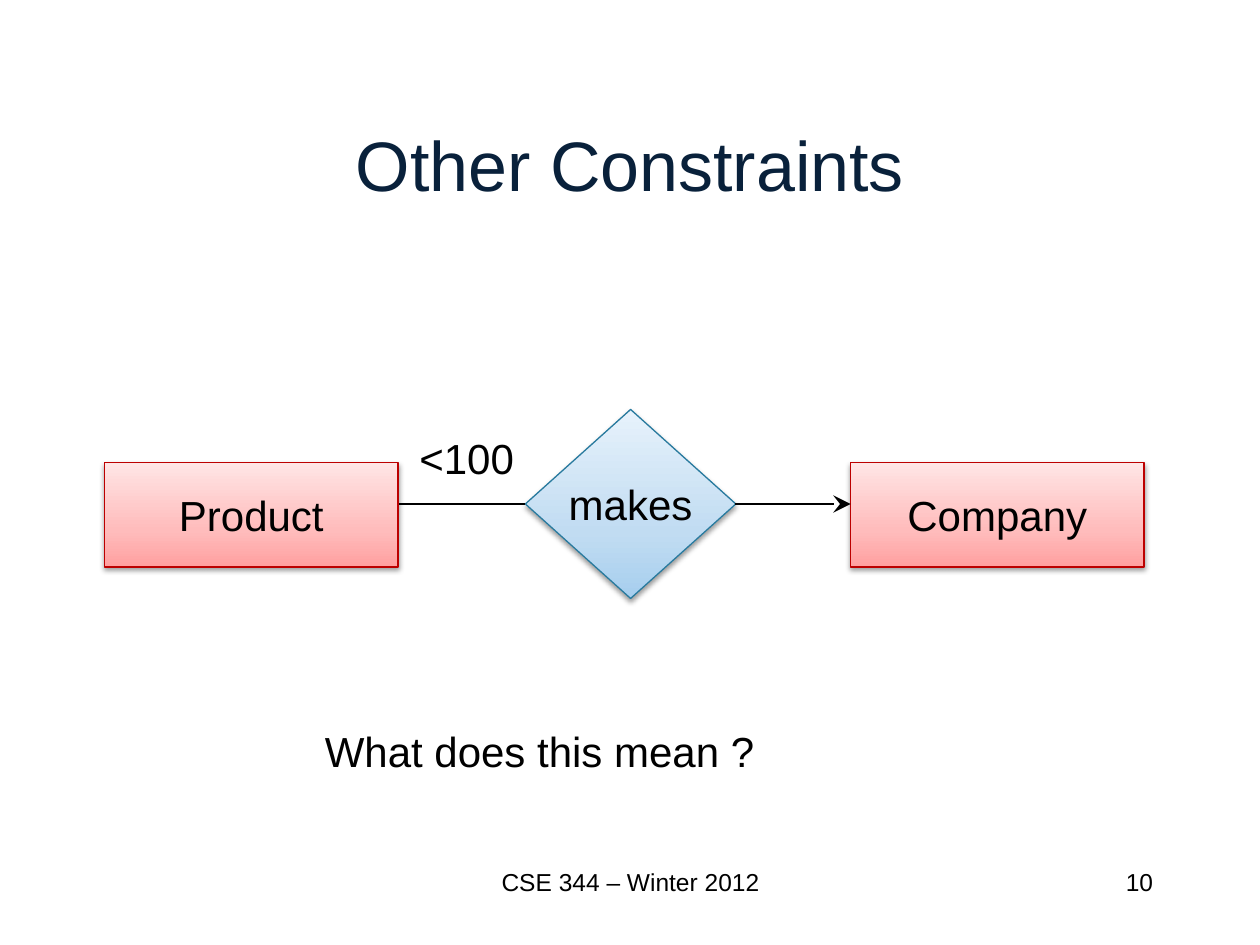
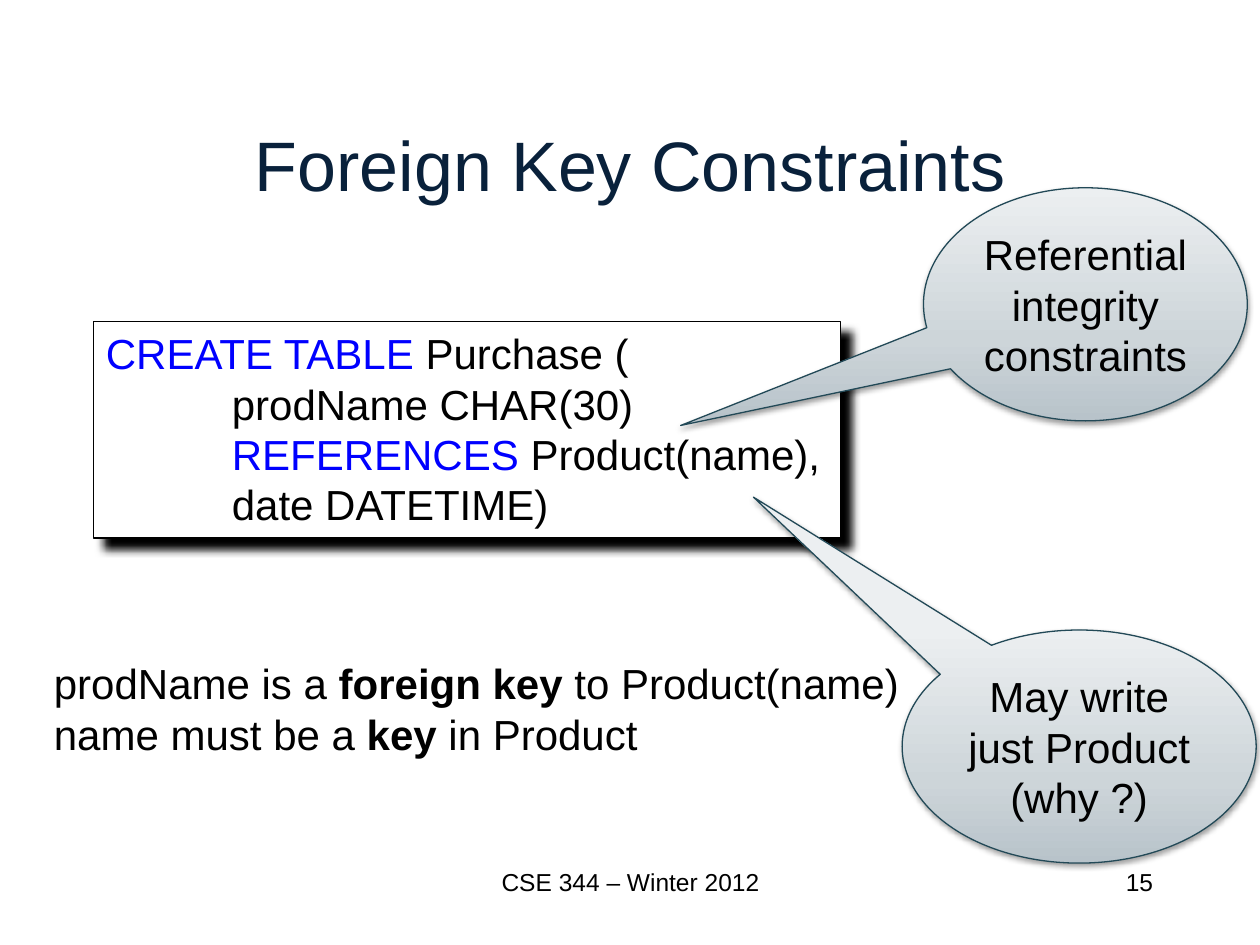
from copy import deepcopy

from pptx import Presentation
from pptx.dml.color import RGBColor
from pptx.enum.shapes import MSO_CONNECTOR, MSO_SHAPE
from pptx.enum.text import MSO_ANCHOR, MSO_AUTO_SIZE, PP_ALIGN
from pptx.oxml.ns import qn
from pptx.util import Inches, Pt
from lxml import etree

LEFT, CENTER, RIGHT = PP_ALIGN.LEFT, PP_ALIGN.CENTER, PP_ALIGN.RIGHT
TOP, MIDDLE = MSO_ANCHOR.TOP, MSO_ANCHOR.MIDDLE
RECTANGLE, DIAMOND = MSO_SHAPE.RECTANGLE, MSO_SHAPE.DIAMOND
CALLOUT = MSO_SHAPE.OVAL_CALLOUT
STRAIGHT = MSO_CONNECTOR.STRAIGHT
NO_AUTOFIT = MSO_AUTO_SIZE.NONE

FONT = "Arial"
FOOTER = "CSE 344 – Winter 2012"
BLACK = RGBColor(0x00, 0x00, 0x00)
WHITE = RGBColor(0xFF, 0xFF, 0xFF)
NAVY = RGBColor(0x09, 0x21, 0x3B)
KEYWORD_BLUE = RGBColor(0x00, 0x00, 0xFF)
RED_LINE = RGBColor(0xBC, 0x00, 0x00)
RED_FADE = [RGBColor(0xFF, 0xA0, 0xA0), RGBColor(0xFF, 0xBC, 0xBC), RGBColor(0xFF, 0xE5, 0xE5)]
BLUE_LINE = RGBColor(0x28, 0x7A, 0x9E)
BLUE_FADE = [RGBColor(0xA6, 0xCE, 0xEE), RGBColor(0xC1, 0xDC, 0xF2), RGBColor(0xE7, 0xF2, 0xFB)]
GRAY_LINE = RGBColor(0x22, 0x49, 0x57)
GRAY_FADE = [RGBColor(0xB8, 0xC3, 0xCA), RGBColor(0xCD, 0xD5, 0xD9), RGBColor(0xEC, 0xEF, 0xF1)]
FADE_STOPS = [0, 0.35, 1]
SOFT_SHADOW = (38, 3.1, 1.6, 90)
HARD_SHADOW = (100, 5, 8.5, 45)

SQL_KEYWORDS = ["CREATE TABLE ", "REFERENCES "]
BOLD_TERMS = ["foreign key", "key"]


def write(shape, lines, size=24, align=LEFT, anchor=TOP, color=BLACK):
    frame = shape.text_frame
    frame.word_wrap = True
    frame.auto_size = NO_AUTOFIT
    frame.vertical_anchor = anchor
    frame.text = "\n".join("" for line in lines)
    for para, line in zip(frame.paragraphs, lines):
        para.alignment = align
        para.line_spacing = 1.0
        para.space_before = Pt(0)
        for text in line:
            span = para.add_run()
            span.text = text
            span.font.name = FONT
            span.font.size = Pt(size)
            span.font.bold = text in BOLD_TERMS
            span.font.color.rgb = KEYWORD_BLUE if text in SQL_KEYWORDS else color


def decorate(shape, colors, line_color, shadow):
    shape.line.color.rgb = line_color
    shape.line.width = Pt(0.75)
    if len(colors) == 1:
        shape.fill.solid()
        shape.fill.fore_color.rgb = colors[0]
    else:
        shape.text_frame.word_wrap = False
        shape.fill.gradient()
        shape.fill.gradient_angle = 90
        stop_list = shape._element.spPr.find(qn("a:gradFill")).find(qn("a:gsLst"))
        stop_list.append(deepcopy(stop_list[0]))
        for stop, position, color in zip(shape.fill.gradient_stops, FADE_STOPS, colors):
            stop.position = position
            stop.color.rgb = color
    shape.shadow.inherit = False
    opacity, blur, distance, angle = shadow
    effects = shape._element.spPr.find(qn("a:effectLst"))
    outer = etree.SubElement(effects, qn("a:outerShdw"), blurRad=str(Pt(blur)),
                             dist=str(Pt(distance)), dir=str(angle * 60000),
                             algn="ctr", rotWithShape="0")
    tint = etree.SubElement(outer, qn("a:srgbClr"), val=str(BLACK))
    etree.SubElement(tint, qn("a:alpha"), val=str(opacity * 1000))


deck = Presentation()
deck.slide_width = Inches(10)
deck.slide_height = Inches(7.5)

pages = []
for layout, title, number in [(5, "Other Constraints", "10"), (1, "Foreign Key Constraints", "15")]:
    page = deck.slides.add_slide(deck.slide_layouts[layout])
    heading = page.shapes.title
    heading.left, heading.top = Inches(0.75), Inches(0.67)
    heading.width, heading.height = Inches(8.5), Inches(1.25)
    write(heading, [[title]], 40, CENTER, MIDDLE, NAVY)
    for text, left, width, align in [(FOOTER, 3.17, 3.67, CENTER), (number, 7.17, 2.08, RIGHT)]:
        box = page.shapes.add_textbox(Inches(left), Inches(6.83), Inches(width), Inches(0.5))
        write(box, [[text]], 14, align)
    pages.append(page)

diagram_page, key_page = pages

for name, kind, left, top, width, height, fade, line_color in [
    ("Company", RECTANGLE, 6.75, 3.67, 2.33, 0.83, RED_FADE, RED_LINE),
    ("Product", RECTANGLE, 0.83, 3.67, 2.33, 0.83, RED_FADE, RED_LINE),
    ("makes", DIAMOND, 4.17, 3.25, 1.67, 1.5, BLUE_FADE, BLUE_LINE),
]:
    node = diagram_page.shapes.add_shape(kind, Inches(left), Inches(top), Inches(width), Inches(height))
    write(node, [[name]], align=CENTER, anchor=MIDDLE)
    decorate(node, fade, line_color, SOFT_SHADOW)

for start, end, has_arrow in [(4.17, 3.17, False), (5.83, 6.75, True)]:
    link = diagram_page.shapes.add_connector(STRAIGHT, Inches(start), Inches(4), Inches(end), Inches(4))
    link.line.color.rgb = BLACK
    link.line.width = Pt(0.75)
    if has_arrow:
        etree.SubElement(link.line._get_or_add_ln(), qn("a:tailEnd"), type="stealth", w="lg", len="lg")
    etree.SubElement(link._element.spPr, qn("a:effectLst"))

for text, left, top, width in [("<100", 3.23, 3.38, 0.96), ("What does this mean ?", 2.48, 5.71, 3.64)]:
    box = diagram_page.shapes.add_textbox(Inches(left), Inches(top), Inches(width), Inches(0.5))
    write(box, [[text]])

code = key_page.placeholders[1]
code.left, code.top = Inches(0.74), Inches(2.55)
code.width, code.height = Inches(5.93), Inches(1.72)
write(code, [
    ["CREATE TABLE ", "Purchase ("],
    ["prodName CHAR(30)"],
    ["REFERENCES ", "Product(name),"],
    ["date DATETIME)"],
])
for index, para in enumerate(code.text_frame.paragraphs):
    properties = para._p.get_or_add_pPr()
    properties.set("marL", str(Inches(1 if index else 0)))
    properties.set("indent", "0")
    etree.SubElement(properties, qn("a:buNone"))
decorate(code, [WHITE], BLACK, HARD_SHADOW)

notes = key_page.shapes.add_textbox(Inches(0.33), Inches(5.17), Inches(6.97), Inches(0.91))
write(notes, [
    ["prodName is a ", "foreign key", " to Product(name)"],
    ["name must be a ", "key", " in Product"],
])

for lines, left, top, width, pointer in [
    (["Referential", "integrity", "constraints"], 7.33, 1.49, 2.57, (-1.25, 0.52)),
    (["May write", "just Product", "(why ?)"], 7.16, 5, 2.81, (-0.92, -1.07)),
]:
    callout = key_page.shapes.add_shape(CALLOUT, Inches(left), Inches(top), Inches(width), Inches(1.85))
    callout.adjustments[0], callout.adjustments[1] = pointer
    write(callout, [[line] for line in lines], align=CENTER, anchor=MIDDLE)
    decorate(callout, GRAY_FADE, GRAY_LINE, SOFT_SHADOW)

deck.save("out.pptx")
